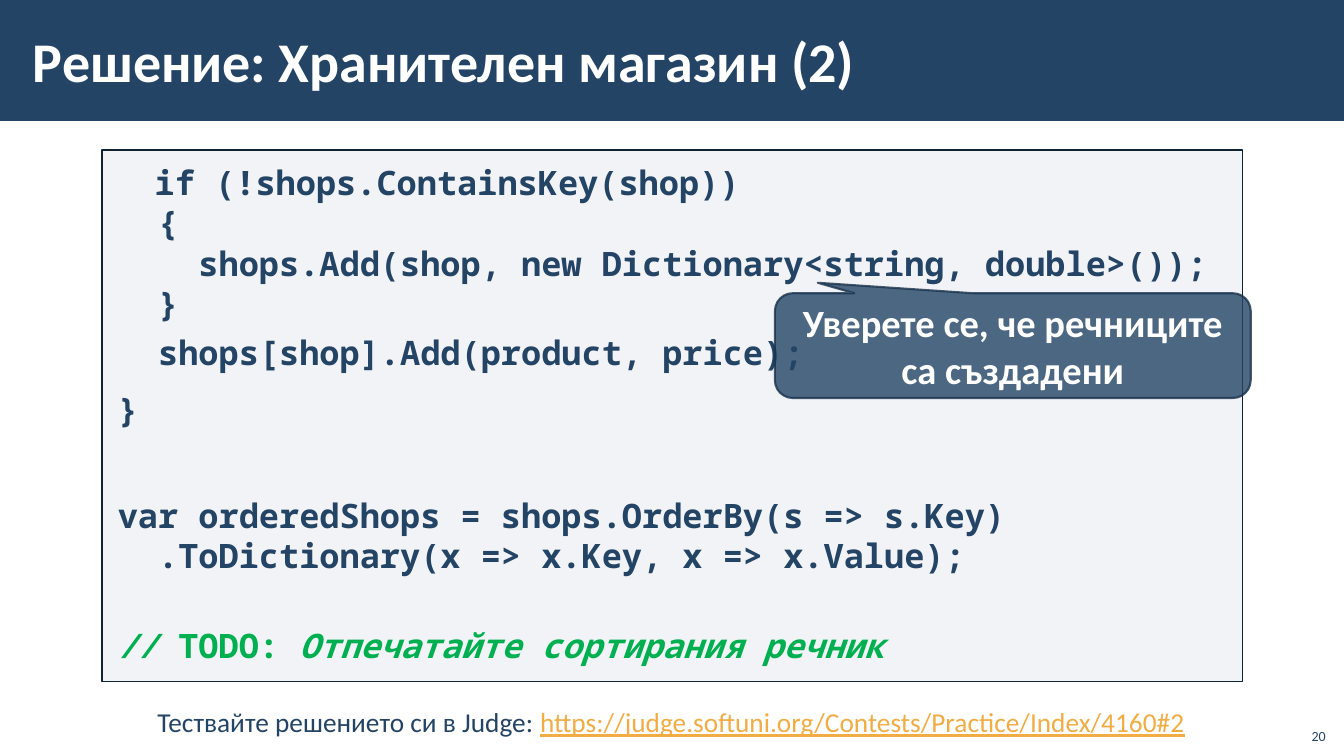
import pptx
import pptx.util
import pptx.dml.color
import pptx.enum.shapes
import pptx.enum.text
import pptx.oxml
import pptx.oxml.ns
from dataclasses import dataclass

Cm, Pt = pptx.util.Cm, pptx.util.Pt
RGB = pptx.dml.color.RGBColor.from_string
SHAPE = pptx.enum.shapes.MSO_SHAPE
ALIGN = pptx.enum.text.PP_ALIGN
ANCHOR = pptx.enum.text.MSO_ANCHOR


@dataclass(frozen=True)
class Theme:
    navy: str = "234465"
    white: str = "FFFFFF"
    panel: str = "ADB4C3"
    panel_line: str = "112233"
    callout_line: str = "1A334C"
    comment: str = "00B050"
    link: str = "F2AC44"
    sans: str = "Calibri"
    mono: str = "Noto Sans Mono"
    title_size: float = 40
    code_size: float = 24
    indent_size: float = 22
    callout_size: float = 27.5
    footer_size: float = 19.5
    number_size: float = 10


T = Theme()

# Code paragraphs: space before, space after, runs of (text, format)
NOTE = {"color": T.comment, "italic": True}
CODE = [
    (0, 0, [("  ", {"size": T.indent_size}), ("if (!shops.ContainsKey(shop))", {})]),
    (0, 0, [("  {", {})]),
    (0, 0, [("    shops.Add(shop, new Dictionary<string, double>());", {})]),
    (0, 0, [("  }", {})]),
    (6, 6, [("  shops[shop].Add(product, price);", {})]),
    (6, 6, [("}", {})]),
    (41, 0, [("var orderedShops = shops.OrderBy(s => s.Key)", {})]),
    (0, 0, [("  .ToDictionary(x => x.Key, x => x.Value);", {})]),
    (35, 6, [("// ", NOTE), ("TODO:", {"color": T.comment}),
             (" Отпечатайте сортирания речник", NOTE)]),
]


def add_run(p, text, **fmt):
    r = p.add_run()
    r.text = text
    for key, value in fmt.items():
        if key == "color":
            r.font.color.rgb = RGB(value)
        else:
            setattr(r.font, key, Pt(value) if key == "size" else value)


def set_frame(sp, anchor, inset_x=0.25, inset_y=0.13):
    tf = sp.text_frame
    frame = {"word_wrap": True, "vertical_anchor": anchor,
             "margin_left": Cm(inset_x), "margin_right": Cm(inset_x),
             "margin_top": Cm(inset_y), "margin_bottom": Cm(inset_y)}
    for key, value in frame.items():
        setattr(tf, key, value)
    return tf


def add_text(s, box, runs, anchor=ANCHOR.TOP, align=ALIGN.LEFT, **inset):
    sp = s.shapes.add_textbox(*map(Cm, box))
    p = set_frame(sp, anchor, **inset).paragraphs[0]
    p.alignment = align
    for text, fmt in runs:
        add_run(p, text, **{"name": T.sans, **fmt})


def set_alpha(fill_parent, percent):
    color = fill_parent.find(pptx.oxml.ns.qn("a:solidFill"))[0]
    color.append(pptx.oxml.parse_xml(
        f'<a:alpha {pptx.oxml.ns.nsdecls("a")} val="{percent * 1000}"/>'))


def add_panel(s, kind, box, fill, line=None, width=1, fill_alpha=100, line_alpha=100):
    sp = s.shapes.add_shape(kind, *map(Cm, box))
    sp.shadow.inherit = False
    sp.fill.solid()
    sp.fill.fore_color.rgb = RGB(fill)
    if fill_alpha < 100:
        set_alpha(sp.fill._xPr, fill_alpha)
    if line is None:
        sp.line.fill.background()
        return sp
    sp.line.color.rgb = RGB(line)
    sp.line.width = Pt(width)
    if line_alpha < 100:
        set_alpha(sp.line._ln, line_alpha)
    return sp


def title_bar(s, box, title):
    x, y, w, h = box
    add_panel(s, SHAPE.RECTANGLE, box, T.navy)
    add_text(s, (x + 0.53, y + 0.28, w - 6.3, h - 0.59),
             [(title, {"size": T.title_size, "bold": True, "color": T.white})],
             anchor=ANCHOR.MIDDLE, inset_x=0.3, inset_y=0.1)


def code_panel(s, box, paragraphs):
    sp = add_panel(s, SHAPE.RECTANGLE, box, T.panel, T.panel_line, fill_alpha=15)
    tf = set_frame(sp, ANCHOR.TOP, 0.4, 0.3)
    base = {"name": T.mono, "size": T.code_size, "bold": True, "color": T.navy}
    for i, (before, after, runs) in enumerate(paragraphs):
        p = tf.add_paragraph() if i else tf.paragraphs[0]
        layout = {"alignment": ALIGN.LEFT, "space_before": Pt(before),
                  "space_after": Pt(after)}
        for key, value in layout.items():
            setattr(p, key, value)
        for text, fmt in runs:
            add_run(p, text, **{**base, **fmt})


def callout(s, box, text):
    sp = add_panel(s, SHAPE.ROUNDED_RECTANGULAR_CALLOUT, box, T.navy,
                   T.callout_line, 1.5, fill_alpha=80, line_alpha=80)
    for i, value in enumerate((-0.41, -0.6, 0.17)):
        sp.adjustments[i] = value
    p = set_frame(sp, ANCHOR.MIDDLE).paragraphs[0]
    p.alignment = ALIGN.CENTER
    add_run(p, text, name=T.sans, size=T.callout_size, bold=True, color=T.white)


def footer(s, box, label, address, number):
    x, y, w, h = box
    # Judge link
    add_text(s, (x + 1.73, y, w - 3.49, h),
             [(label, {"size": T.footer_size, "color": T.navy}),
              (address, {"size": T.footer_size, "color": T.link, "underline": True})],
             align=ALIGN.CENTER)
    # Slide number
    add_text(s, (x + w - 1.23, y + 0.43, 1.02, 0.81),
             [(number, {"size": T.number_size, "color": T.navy})],
             anchor=ANCHOR.BOTTOM, align=ALIGN.RIGHT)


def main():
    prs = pptx.Presentation()
    prs.slide_width, prs.slide_height = Cm(33.87), Cm(19.05)
    s = prs.slides.add_slide(prs.slide_layouts[6])
    title_bar(s, (0, 0, 33.87, 3.05), "Решение: Хранителен магазин (2)")
    code_panel(s, (2.57, 3.78, 28.75, 13.39), CODE)
    callout(s, (19.53, 7.39, 11.99, 2.64), "Уверете се, че речниците са създадени")
    footer(s, (0, 17.65, 33.87, 1.12), "Тествайте решението си в Judge: ",
           "https://judge.softuni.org/Contests/Practice/Index/4160#2", "20")
    prs.save("out.pptx")


if __name__ == "__main__":
    main()
